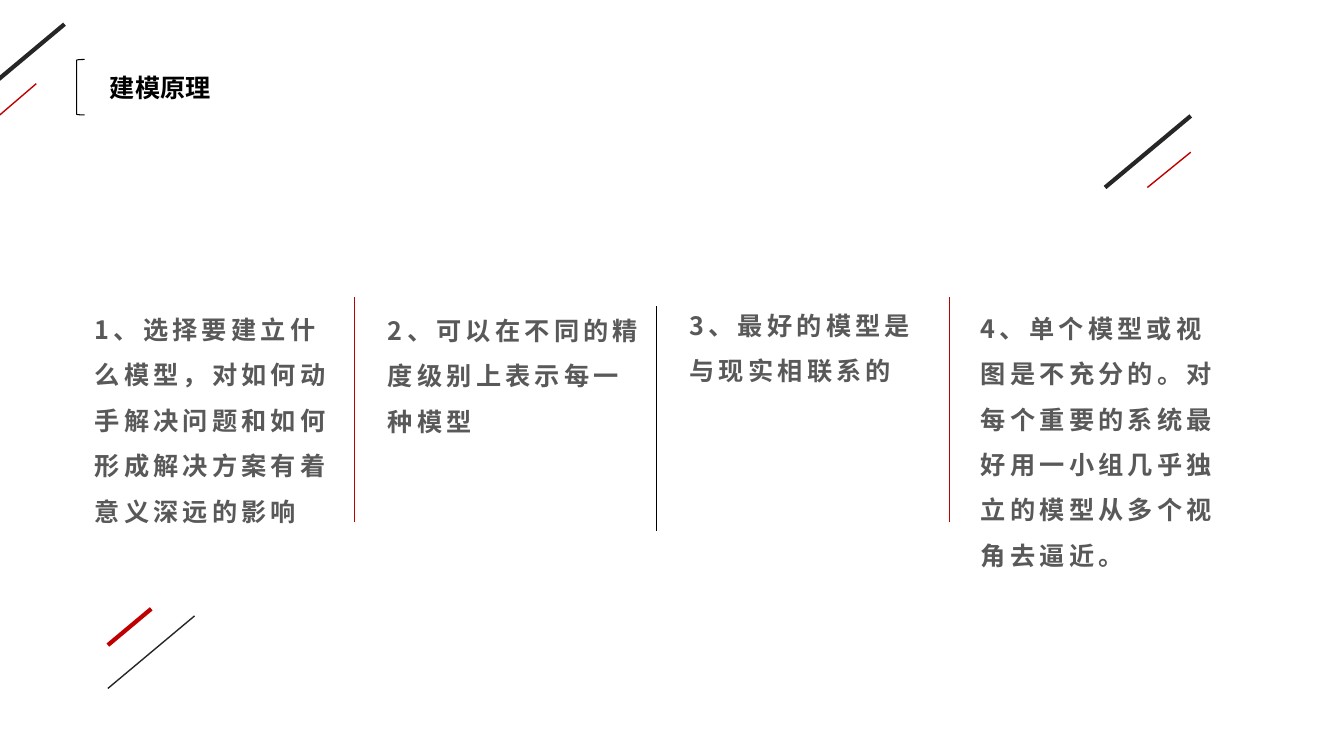
import pptx
import pptx.util
import pptx.dml.color
import pptx.enum.shapes
import pptx.enum.text
import pptx.oxml
import pptx.oxml.ns

Inches, Pt = pptx.util.Inches, pptx.util.Pt
COLORS = {"dark": "262626", "red": "C00000", "black": "000000", "grey": "595959"}
BODY_FONT = "Noto Sans CJK SC"

TITLE = "建模原理"
# left, top, width, height, text
PRINCIPLES = [
    (0.84, 2.92, 2.68, 2.37, "1、选择要建立什么模型，对如何动手解决问题和如何形成解决方案有着意义深远的影响"),
    (3.75, 2.93, 2.76, 1.46, "2、可以在不同的精度级别上表示每一种模型"),
    (6.74, 2.88, 2.65, 0.96, "3、最好的模型是与现实相联系的"),
    (9.63, 2.91, 2.65, 2.83, "4、单个模型或视图是不充分的。对每个重要的系统最好用一小组几乎独立的模型从多个视角去逼近。"),
]
# x, top, colour
DIVIDERS = [(3.52, 2.95, "red"), (6.51, 3.04, "black"), (9.42, 2.95, "red")]
DIVIDER_HEIGHT = 2.23
# x1, y1, x2, y2, colour, weight
SLASHES = [
    (0.64, 0.24, -0.21, 0.95, "dark", 3),
    (0.36, 0.83, -0.06, 1.19, "red", 1),
    (11.81, 1.15, 10.96, 1.86, "dark", 3),
    (11.81, 1.51, 11.38, 1.86, "red", 1),
    (1.5, 6.04, 1.07, 6.4, "red", 3),
    (1.93, 6.11, 1.07, 6.83, "dark", 1),
]


def rgb(name):
    return pptx.dml.color.RGBColor.from_string(COLORS[name])


def add_line(s, x1, y1, x2, y2, color, weight):
    line = s.shapes.add_connector(
        pptx.enum.shapes.MSO_CONNECTOR.STRAIGHT,
        Inches(x1), Inches(y1), Inches(x2), Inches(y2))
    line.line.color.rgb = rgb(color)
    line.line.width = Pt(weight)
    line._element.spPr.append(pptx.oxml.parse_xml(
        "<a:effectLst %s/>" % pptx.oxml.ns.nsdecls("a")))


def add_run(p, text, font, color):
    """Add a bold 18 pt run, with the body font for Chinese characters."""
    r = p.add_run()
    r.text = text
    r.font.name = font
    r.font.size = Pt(18)
    r.font.bold = True
    r.font.color.rgb = rgb(color)
    r.font._element.find(pptx.oxml.ns.qn("a:latin")).addnext(pptx.oxml.parse_xml(
        '<a:ea %s typeface="%s"/>' % (pptx.oxml.ns.nsdecls("a"), BODY_FONT)))
    return r


def add_title(s):
    title = s.shapes.title
    title.left, title.top = Inches(0.87), Inches(0.67)
    title.width, title.height = Inches(1.35), Inches(0.4)
    tf = title.text_frame
    tf.word_wrap = False
    tf.auto_size = pptx.enum.text.MSO_AUTO_SIZE.NONE
    tf.vertical_anchor = pptx.enum.text.MSO_ANCHOR.TOP
    tf.margin_left, tf.margin_right = Inches(0.22), 0
    p = tf.paragraphs[0]
    p.alignment = pptx.enum.text.PP_ALIGN.LEFT
    p.line_spacing = 1.0
    add_run(p, TITLE, "Arial", "black")

    bracket = s.shapes.add_shape(
        pptx.enum.shapes.MSO_SHAPE.LEFT_BRACKET,
        Inches(0.76), Inches(0.59), Inches(0.08), Inches(0.55))
    bracket.shadow.inherit = False
    bracket.fill.background()
    bracket.line.color.rgb = rgb("black")
    bracket.line.width = Pt(0.75)


def add_principle(s, left, top, width, height, text):
    tf = s.shapes.add_textbox(
        Inches(left), Inches(top), Inches(width), Inches(height)).text_frame
    tf.word_wrap = True
    tf.auto_size = pptx.enum.text.MSO_AUTO_SIZE.SHAPE_TO_FIT_TEXT
    p = tf.paragraphs[0]
    p.line_spacing = 1.5
    r = add_run(p, text, BODY_FONT, "grey")
    r.font._element.set("spc", "300")


def main():
    prs = pptx.Presentation()
    prs.slide_width, prs.slide_height = Inches(13.33), Inches(7.5)
    s = prs.slides.add_slide(prs.slide_layouts.get_by_name("Title Only"))
    add_title(s)
    for slash in SLASHES:
        add_line(s, *slash)
    for x, top, color in DIVIDERS:
        add_line(s, x, top, x, top + DIVIDER_HEIGHT, color, 0.75)
    for principle in PRINCIPLES:
        add_principle(s, *principle)
    prs.save("out.pptx")


if __name__ == "__main__":
    main()
